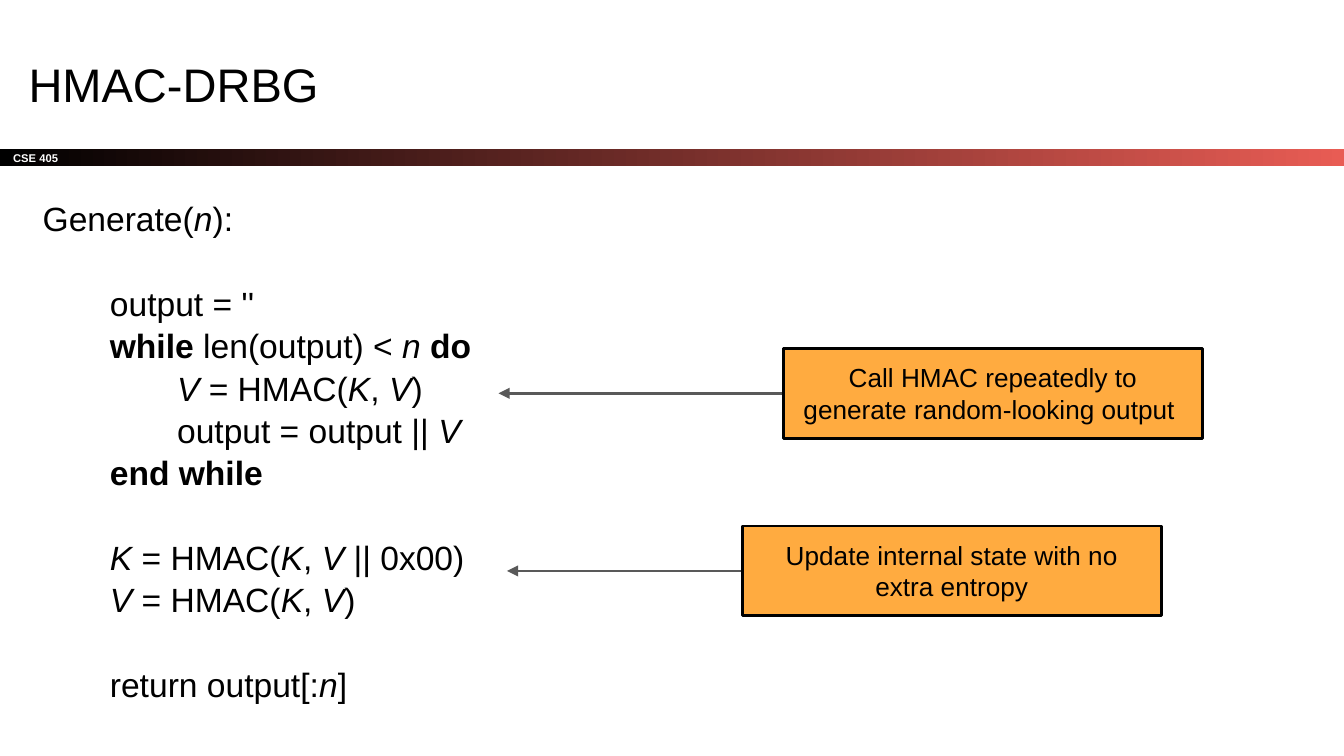
from dataclasses import dataclass

from lxml.etree import SubElement
from pptx import Presentation
from pptx.dml.color import RGBColor
from pptx.enum.shapes import MSO_CONNECTOR as Connector, MSO_SHAPE as Shape
from pptx.enum.text import MSO_ANCHOR as Anchor, PP_ALIGN as Align
from pptx.oxml.ns import qn
from pptx.util import Pt

COLORS = {
    "text": "000000",
    "bar_start": "000000",
    "bar_end": "E85C54",
    "bar_text": "FFFFFF",
    "callout": "FFAB40",
    "outline": "000000",
    "arrow": "595959",
}
FONT = "Arial"
INSET = 7.2
INDENT = 36
CODE_SIZE = 18
LINE_GAP = 22.7
CALLOUT_WIDTH, CALLOUT_HEIGHT = 224.6, 48.2


@dataclass
class CodeLine:
    markup: str
    level: int = 1
    gap: bool = False


@dataclass
class Callout:
    text: str
    left: float
    top: float
    arrow_tip: float


CODE = [
    CodeLine("Generate(_n_):", level=0),
    CodeLine("output = ''", gap=True),
    CodeLine("*while* len(output) < _n _*do*"),
    CodeLine("_V_ = HMAC(_K_, _V_)", level=2),
    CodeLine("output = output || _V_", level=2),
    CodeLine("*end while*"),
    CodeLine("_K_ = HMAC(_K_, _V_ || 0x00)", gap=True),
    CodeLine("_V_ = HMAC(_K_, _V_)"),
    CodeLine("return output[:_n_]", gap=True),
]
CALLOUTS = [
    Callout("Call HMAC repeatedly to generate random-looking output ", 419.6, 186.6, 267.1),
    Callout("Update internal state with no extra entropy", 397.6, 281.8, 271.6),
]


def rgb(name: str) -> RGBColor:
    return RGBColor.from_string(COLORS[name])


def style_font(font, size: float, color: str = "text", bold: bool = False,
               italic: bool = False) -> None:
    font.name, font.size = FONT, Pt(size)
    font.bold, font.italic = bold, italic
    font.color.rgb = rgb(color)


def set_frame(frame, anchor=Anchor.TOP) -> None:
    frame.word_wrap = True
    frame.vertical_anchor = anchor
    frame.margin_left = frame.margin_right = Pt(INSET)
    frame.margin_top = frame.margin_bottom = Pt(INSET)


def set_text(frame, text: str, size: float, color: str = "text", bold: bool = False,
             align=Align.LEFT, anchor=Anchor.TOP) -> None:
    set_frame(frame, anchor)
    frame.text = text
    frame.paragraphs[0].alignment = align
    style_font(frame.paragraphs[0].runs[0].font, size, color, bold)


def add_bar(slide) -> None:
    bar = slide.shapes.add_shape(Shape.RECTANGLE, Pt(0), Pt(80), Pt(720), Pt(8.8))
    bar.shadow.inherit = False
    bar.line.fill.background()
    bar.fill.gradient()
    bar.fill.gradient_angle = 0
    for stop, position, color in zip(bar.fill.gradient_stops, (0, 1), ("bar_start", "bar_end")):
        stop.position = position
        stop.color.rgb = rgb(color)
    set_text(bar.text_frame, "CSE 405", 6, "bar_text", bold=True, anchor=Anchor.MIDDLE)


def add_title(slide) -> None:
    title = slide.shapes.add_textbox(Pt(8.2), Pt(21.6), Pt(671), Pt(45.4))
    set_text(title.text_frame, "HMAC-DRBG", 25.2, anchor=Anchor.BOTTOM)


def add_marked_runs(paragraph, markup: str) -> None:
    """Add runs, where * switches bold and _ switches italic."""
    for bold_switches, section in enumerate(markup.split("*")):
        for italic_switches, part in enumerate(section.split("_")):
            if part:
                run = paragraph.add_run()
                run.text = part
                style_font(run.font, CODE_SIZE, bold=bold_switches % 2 == 1,
                           italic=italic_switches % 2 == 1)


def add_code(slide) -> None:
    frame = slide.shapes.add_textbox(Pt(15.8), Pt(97.9), Pt(404.6), Pt(296.6)).text_frame
    set_frame(frame)
    for number, line in enumerate(CODE):
        paragraph = frame.add_paragraph() if number else frame.paragraphs[0]
        paragraph.line_spacing = 1.05
        if line.gap:
            paragraph.space_before = Pt(LINE_GAP)
        properties = paragraph._p.get_or_add_pPr()
        properties.set("marL", str(Pt(INDENT * line.level)))
        properties.set("indent", "0")
        add_marked_runs(paragraph, line.markup)


def add_callout(slide, callout: Callout) -> None:
    middle = Pt(callout.top + CALLOUT_HEIGHT / 2)
    arrow = slide.shapes.add_connector(
        Connector.STRAIGHT, Pt(callout.left), middle, Pt(callout.arrow_tip), middle)
    box = slide.shapes.add_shape(Shape.RECTANGLE, Pt(callout.left), Pt(callout.top),
                                 Pt(CALLOUT_WIDTH), Pt(CALLOUT_HEIGHT))
    box.shadow.inherit = False
    box.fill.solid()
    box.fill.fore_color.rgb = rgb("callout")
    box.line.color.rgb = rgb("outline")
    box.line.width = Pt(1.5)
    set_text(box.text_frame, callout.text, 14, align=Align.CENTER)

    arrow.begin_connect(box, 1)
    arrow.line.color.rgb = rgb("arrow")
    arrow.line.width = Pt(1.5)
    SubElement(arrow.line._get_or_add_ln(), qn("a:tailEnd"), type="triangle")
    SubElement(arrow._element.spPr, qn("a:effectLst"))


def main() -> None:
    deck = Presentation()
    deck.slide_width, deck.slide_height = Pt(720), Pt(405)
    slide = deck.slides.add_slide(deck.slide_layouts[6])
    add_bar(slide)
    add_title(slide)
    add_code(slide)
    for callout in CALLOUTS:
        add_callout(slide, callout)
    deck.save("out.pptx")


if __name__ == "__main__":
    main()
